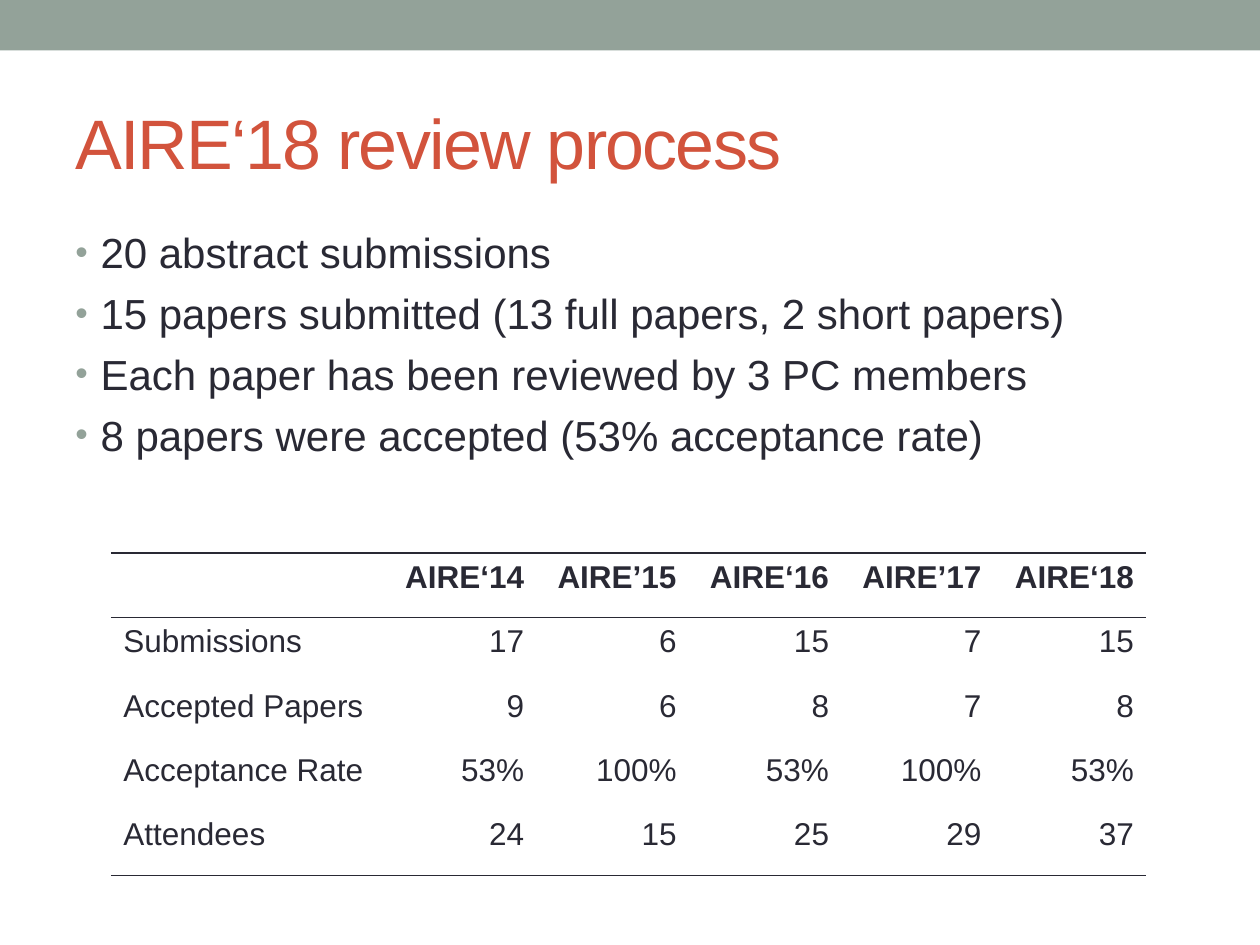
from lxml.etree import SubElement
from pptx import Presentation
from pptx.dml.color import RGBColor
from pptx.enum.shapes import MSO_SHAPE
from pptx.enum.text import MSO_ANCHOR, PP_ALIGN
from pptx.oxml import parse_xml
from pptx.oxml.ns import nsdecls, qn
from pptx.util import Inches, Pt

HEADING = "AIRE‘18 review process"
FACTS = [
    "20 abstract submissions",
    "15 papers submitted (13 full papers, 2 short papers)",
    "Each paper has been reviewed by 3 PC members",
    "8 papers were accepted (53% acceptance rate)",
]
HISTORY = [
    ("", "AIRE‘14", "AIRE’15", "AIRE‘16", "AIRE’17", "AIRE‘18"),
    ("Submissions", "17", "6", "15", "7", "15"),
    ("Accepted Papers", "9", "6", "8", "7", "8"),
    ("Acceptance Rate", "53%", "100%", "53%", "100%", "53%"),
    ("Attendees", "24", "15", "25", "29", "37"),
]
THEME = {
    "band": "93A299",
    "ink": "292934",
    "heading": {"size": Pt(40), "color": "D2533C"},
    "fact": {"size": Pt(24), "color": "292934"},
    "column": {"size": Pt(18), "color": "292934", "bold": True},
    "value": {"size": Pt(18), "color": "292934", "bold": False},
}
NO_GRID_STYLE = "{2D5ABB26-0587-4C30-8999-92F81FD0307C}"
LABEL_WIDTH, YEAR_WIDTH, ROW_HEIGHT = 2.17, 1.21, 0.512


def write(paragraph, wording, style):
    run = paragraph.add_run()
    run.text = wording
    run.font.name = "Arial"
    for attribute, setting in THEME[style].items():
        if attribute == "color":
            run.font.color.rgb = RGBColor.from_string(setting)
        else:
            setattr(run.font, attribute, setting)
    return run


def add_frame(slide, box, anchor):
    frame = slide.shapes.add_textbox(*map(Inches, box)).text_frame
    for attribute, setting in {"word_wrap": True, "vertical_anchor": anchor}.items():
        setattr(frame, attribute, setting)
    return frame


def add_bullet(paragraph):
    paragraph.space_before = Pt(6)
    properties = paragraph._p.get_or_add_pPr()
    for attribute, setting in {"marL": Inches(0.2), "indent": Inches(-0.2)}.items():
        properties.set(attribute, str(int(setting)))
    bullet_color = SubElement(properties, qn("a:buClr"))
    SubElement(bullet_color, qn("a:srgbClr"), val=THEME["band"])
    SubElement(properties, qn("a:buSzPct"), val="85000")
    SubElement(properties, qn("a:buFont"), typeface="Arial")
    SubElement(properties, qn("a:buChar"), char="•")


def rule_cell(cell, edges):
    for position, edge in enumerate(edges):
        rule = parse_xml(
            f'<a:{edge} {nsdecls("a")} w="{Pt(1)}"><a:solidFill>'
            f'<a:srgbClr val="{THEME["ink"]}"/></a:solidFill></a:{edge}>'
        )
        cell._tc.get_or_add_tcPr().insert(position, rule)


def add_history(slide):
    years = len(HISTORY[0]) - 1
    size = (LABEL_WIDTH + years * YEAR_WIDTH, len(HISTORY) * ROW_HEIGHT)
    history = slide.shapes.add_table(
        len(HISTORY), years + 1, *map(Inches, (0.88, 4.39, *size))
    ).table
    for flag in ("first_row", "horz_banding"):
        setattr(history, flag, False)
    history._tbl.tblPr.find(qn("a:tableStyleId")).text = NO_GRID_STYLE
    for index, column in enumerate(history.columns):
        column.width = Inches(YEAR_WIDTH if index else LABEL_WIDTH)
    edges = {0: ("lnT", "lnB"), len(HISTORY) - 1: ("lnB",)}
    for row, entries in enumerate(HISTORY):
        history.rows[row].height = Inches(ROW_HEIGHT)
        for column, entry in enumerate(entries):
            cell = history.cell(row, column)
            cell.fill.background()
            rule_cell(cell, edges.get(row, ()))
            paragraph = cell.text_frame.paragraphs[0]
            paragraph.alignment = PP_ALIGN.RIGHT if column else PP_ALIGN.LEFT
            if entry:
                write(paragraph, entry, "value" if row else "column")


def main():
    """Build the review process slide with its yearly history table."""
    deck = Presentation()
    deck.slide_width, deck.slide_height = Inches(10), Inches(7.5)
    slide = deck.slides.add_slide(deck.slide_layouts[6])

    band = slide.shapes.add_shape(MSO_SHAPE.RECTANGLE, 0, 0, Inches(10), Inches(0.4))
    band.shadow.inherit = False
    band.fill.solid()
    band.fill.fore_color.rgb = RGBColor.from_string(THEME["band"])
    band.line.fill.background()

    heading = add_frame(slide, (0.5, 0.58, 9, 1.08), MSO_ANCHOR.MIDDLE)
    title = write(heading.paragraphs[0], HEADING, "heading")
    title._r.get_or_add_rPr().set("spc", "-100")

    facts = add_frame(slide, (0.5, 1.75, 9, 5.33), MSO_ANCHOR.TOP)
    for index, fact in enumerate(FACTS):
        paragraph = facts.add_paragraph() if index else facts.paragraphs[0]
        add_bullet(paragraph)
        write(paragraph, fact, "fact")

    add_history(slide)
    deck.save("out.pptx")


if __name__ == "__main__":
    main()
